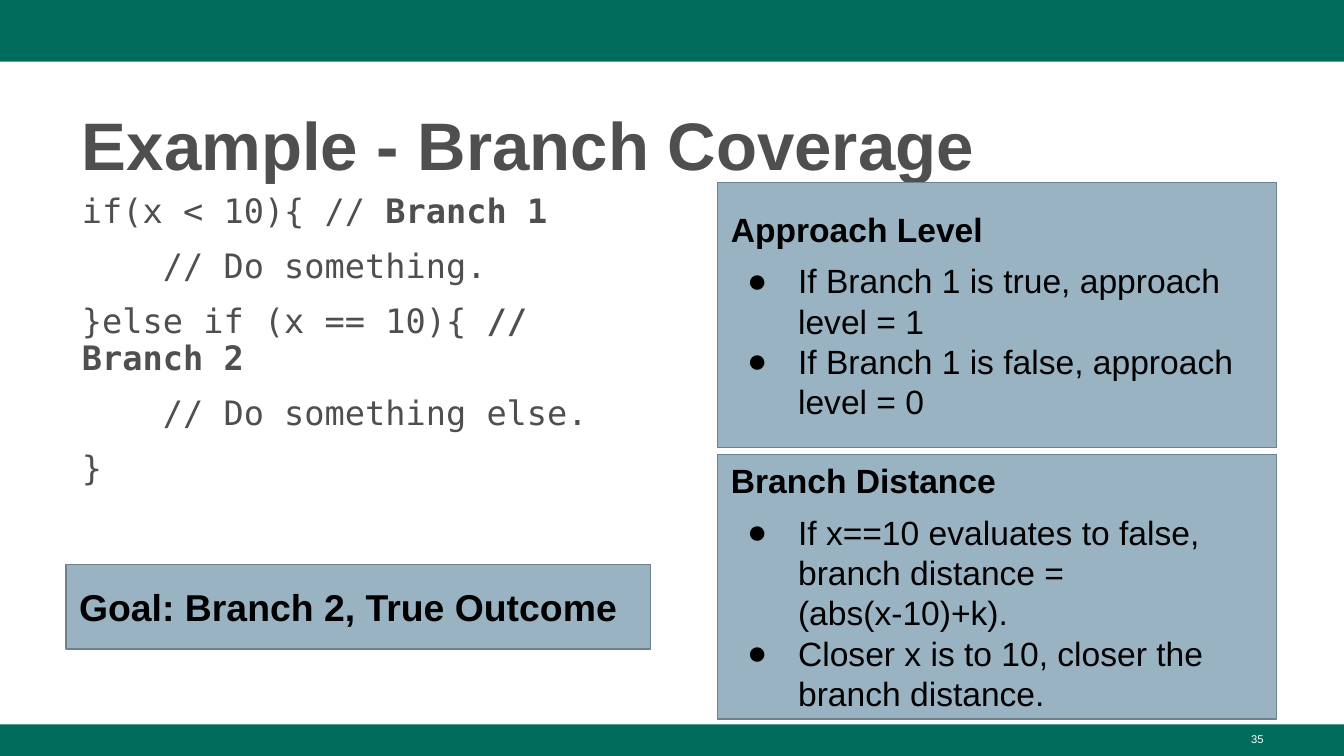
from dataclasses import dataclass

from lxml import etree
from pptx import Presentation
from pptx.dml.color import RGBColor
from pptx.enum import shapes, text
from pptx.oxml import ns
from pptx.util import Inches, Pt


@dataclass(frozen=True)
class Theme:
    green: RGBColor = RGBColor(0x00, 0x6C, 0x5C)
    panel: RGBColor = RGBColor(0x99, 0xB3, 0xC2)
    edge: RGBColor = RGBColor(0x6F, 0x82, 0x8C)
    grey: RGBColor = RGBColor(0x4F, 0x4F, 0x4F)
    black: RGBColor = RGBColor(0, 0, 0)
    white: RGBColor = RGBColor(255, 255, 255)
    sans: str = "Arial"
    mono: str = "DejaVu Sans Mono"
    title_size: int = 36
    goal_size: int = 20
    body_size: int = 18
    number_size: int = 6


@dataclass(frozen=True)
class Box:
    left: float
    top: float
    width: float
    height: float

    def lengths(self) -> tuple:
        return tuple(Inches(v) for v in (self.left, self.top, self.width, self.height))


@dataclass(frozen=True)
class Panel:
    box: Box
    heading: str
    size: int
    bullets: tuple[str, ...] = ()


@dataclass(frozen=True)
class CodeLine:
    plain: str
    strong: str = ""


THEME = Theme()
SLIDE_WIDTH = 10
SLIDE_HEIGHT = SLIDE_WIDTH * 9 / 16
FOOTER_TOP = 5.39
MARGIN = 0.51
BANDS = (
    Box(0, 0, SLIDE_WIDTH, 0.46),
    Box(0, FOOTER_TOP, SLIDE_WIDTH, SLIDE_HEIGHT - FOOTER_TOP),
)
CRITERIA = (
    ("Approach Level", (
        "If Branch 1 is true, approach level = 1",
        "If Branch 1 is false, approach level = 0",
    )),
    ("Branch Distance", (
        "If x==10 evaluates to false, branch distance = (abs(x-10)+k).",
        "Closer x is to 10, closer the branch distance.",
    )),
)
CRITERIA_TOP, CRITERIA_PITCH = 1.36, 2.02
PANELS = tuple(
    Panel(Box(5.34, CRITERIA_TOP + i * CRITERIA_PITCH, 4.16, 1.97),
          heading, THEME.body_size, bullets)
    for i, (heading, bullets) in enumerate(CRITERIA)
) + (Panel(Box(0.49, 4.2, 4.35, 0.63), "Goal: Branch 2, True Outcome", THEME.goal_size),)
CODE = (
    CodeLine("if(x < 10){ // ", "Branch 1"),
    CodeLine("    // Do something."),
    CodeLine("}else if (x == 10){ ", "// Branch 2"),
    CodeLine("    // Do something else."),
    CodeLine("}"),
)


def style(font, size: int, color: RGBColor, bold: bool = False, name: str = THEME.sans) -> None:
    font.name, font.size, font.bold = name, Pt(size), bold
    font.color.rgb = color


def set_indent(paragraph, left: float, hanging: float, bullet: str = "") -> None:
    props = paragraph._p.get_or_add_pPr()
    props.set("marL", str(Inches(left)))
    props.set("indent", str(Inches(-hanging)))
    if bullet:
        tint = etree.SubElement(props, ns.qn("a:buClr"))
        etree.SubElement(tint, ns.qn("a:srgbClr")).set("val", str(THEME.black))
        etree.SubElement(props, ns.qn("a:buFont")).set("typeface", THEME.sans)
        etree.SubElement(props, ns.qn("a:buChar")).set("char", bullet)
    else:
        etree.SubElement(props, ns.qn("a:buNone"))


def add_rectangle(slide, box: Box, fill: RGBColor):
    rectangle = slide.shapes.add_shape(shapes.MSO_SHAPE.RECTANGLE, *box.lengths())
    rectangle.shadow.inherit = False
    rectangle.fill.solid()
    rectangle.fill.fore_color.rgb = fill
    rectangle.line.fill.background()
    return rectangle


def add_panel(slide, panel: Panel) -> None:
    rectangle = add_rectangle(slide, panel.box, THEME.panel)
    rectangle.line.color.rgb = THEME.edge
    rectangle.line.width = Pt(0.75)
    frame = rectangle.text_frame
    frame.word_wrap = True
    frame.vertical_anchor = text.MSO_ANCHOR.MIDDLE
    frame.margin_left = frame.margin_right = Inches(0.1)
    frame.margin_top = frame.margin_bottom = Inches(0.1)
    frame.text = "\n".join((panel.heading, *panel.bullets))
    for i, paragraph in enumerate(frame.paragraphs):
        paragraph.alignment = text.PP_ALIGN.LEFT
        if i:
            set_indent(paragraph, 0.5, 0.38, "●")
        paragraph.space_before = Pt(6 if i == 1 else 0)
        style(paragraph.runs[0].font, panel.size, THEME.black, bold=i == 0)


def place(placeholder, box: Box):
    placeholder.left, placeholder.top, placeholder.width, placeholder.height = box.lengths()
    frame = placeholder.text_frame
    frame.word_wrap = True
    frame.auto_size = text.MSO_AUTO_SIZE.NONE
    frame.vertical_anchor = text.MSO_ANCHOR.TOP
    return frame


def fill_title(slide) -> None:
    frame = place(slide.shapes.title, Box(MARGIN, 0.67, 8.99, 0.73))
    frame.text = "Example - Branch Coverage"
    heading = frame.paragraphs[0]
    heading.alignment = text.PP_ALIGN.LEFT
    heading.line_spacing = 1.08
    style(heading.runs[0].font, THEME.title_size, THEME.grey, bold=True)


def fill_code(slide) -> None:
    frame = place(slide.placeholders[1], Box(MARGIN, 1.4, 4.55, 3.81))
    frame.text = "\n".join(line.plain for line in CODE)
    for i, (paragraph, line) in enumerate(zip(frame.paragraphs, CODE)):
        set_indent(paragraph, 0, 0)
        paragraph.line_spacing = 0.9
        paragraph.space_before = Pt(10 if i else 0)
        style(paragraph.runs[0].font, THEME.body_size, THEME.grey, name=THEME.mono)
        if line.strong:
            branch = paragraph.add_run()
            branch.text = line.strong
            style(branch.font, THEME.body_size, THEME.grey, bold=True, name=THEME.mono)


def add_page_number(slide) -> None:
    frame = slide.shapes.add_textbox(*Box(7.17, 5.4, 2.33, 0.23).lengths()).text_frame
    frame.word_wrap = True
    frame.text = "35"
    number = frame.paragraphs[0]
    number.alignment = text.PP_ALIGN.RIGHT
    style(number.runs[0].font, THEME.number_size, THEME.white)


def main() -> None:
    deck = Presentation()
    deck.slide_width, deck.slide_height = Inches(SLIDE_WIDTH), Inches(SLIDE_HEIGHT)
    slide = deck.slides.add_slide(deck.slide_layouts[1])
    for band in BANDS:
        add_rectangle(slide, band, THEME.green)
    add_page_number(slide)
    fill_title(slide)
    fill_code(slide)
    for panel in PANELS:
        add_panel(slide, panel)
    deck.save("out.pptx")


if __name__ == "__main__":
    main()
